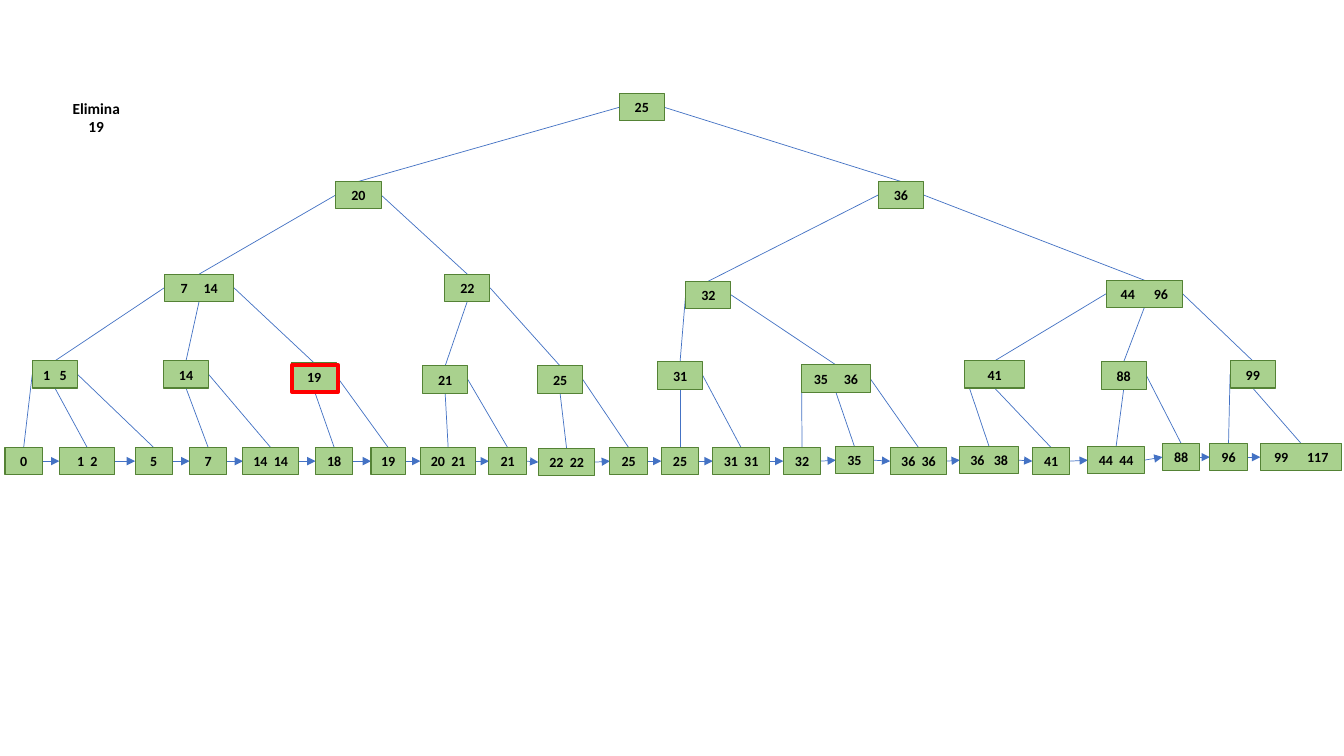
"""Build a slide with a B+ tree from which the key 19 is deleted."""
import pptx
import pptx.dml.color
import pptx.enum.shapes
import pptx.enum.text
import pptx.oxml
import pptx.oxml.ns
import pptx.util
from pptx.util import Inches

LABEL = "Elimina 19"
FONT = "Calibri"
GREEN, DARK_GREEN, BLUE, RED, BLACK = "A9D18E", "548235", "4472C4", "FF0000", "000000"
NODE_HEIGHT = 0.27
KEY_SIZE = 10
SPACE_WIDTH = 2.26
TOP, LEFT, BOTTOM, RIGHT = range(4)

# name: (keys, spaces between keys, left, top, width)
INNER_NODES = {
    "root": ("25", 1, 6.14, 0.93, 0.45),
    "A": ("20", 1, 3.33, 1.8, 0.45),
    "B": ("36", 1, 8.71, 1.8, 0.45),
    "A1": ("7 14", 5, 1.63, 2.72, 0.69),
    "A2": ("22", 1, 4.41, 2.72, 0.45),
    "B1": ("32", 1, 6.8, 2.79, 0.45),
    "B2": ("44 96", 6, 10.97, 2.78, 0.76),
    "A1a": ("1 5", 3, 0.32, 3.58, 0.45),
    "A1b": ("14", 1, 1.62, 3.58, 0.45),
    "A1c": ("19", 1, 2.89, 3.6, 0.45),
    "A2a": ("21", 1, 4.19, 3.63, 0.45),
    "A2b": ("25", 1, 5.33, 3.63, 0.45),
    "B1a": ("31", 1, 6.52, 3.59, 0.45),
    "B1b": ("35 36", 5, 7.95, 3.62, 0.68),
    "B2a": ("41", 1, 9.57, 3.58, 0.59),
    "B2b": ("88", 1, 10.92, 3.59, 0.45),
    "B2c": ("99", 1, 12.2, 3.58, 0.45),
}
LEAVES = [
    ("0", 1, 0.05, 4.44, 0.37), ("1 2", 2, 0.59, 4.44, 0.55),
    ("5", 1, 1.34, 4.44, 0.37), ("7", 1, 1.88, 4.44, 0.37),
    ("14 14", 2, 2.41, 4.44, 0.55), ("18", 1, 3.13, 4.44, 0.37),
    ("19", 1, 3.68, 4.44, 0.34), ("20 21", 2, 4.17, 4.44, 0.55),
    ("21", 1, 4.85, 4.44, 0.37), ("22 22", 2, 5.34, 4.45, 0.56),
    ("25", 1, 6.05, 4.44, 0.37), ("25", 1, 6.56, 4.44, 0.37),
    ("31 31", 2, 7.07, 4.44, 0.56), ("32", 1, 7.77, 4.44, 0.37),
    ("35", 1, 8.29, 4.43, 0.37), ("36 36", 2, 8.83, 4.44, 0.56),
    ("36 38", 3, 9.52, 4.43, 0.58), ("41", 1, 10.24, 4.44, 0.37),
    ("44 44", 2, 10.79, 4.43, 0.56), ("88", 1, 11.53, 4.4, 0.37),
    ("96", 1, 12.0, 4.4, 0.37), ("99 117", 6, 12.5, 4.4, 0.81),
]
# parent: (children, side of the parent each branch leaves from)
BRANCHES = {
    "root": (("A", "B"), (LEFT, RIGHT)),
    "A": (("A1", "A2"), (LEFT, RIGHT)),
    "B": (("B1", "B2"), (LEFT, RIGHT)),
    "A1": (("A1a", "A1b", "A1c"), (LEFT, BOTTOM, RIGHT)),
    "A2": (("A2a", "A2b"), (BOTTOM, RIGHT)),
    "B1": (("B1a", "B1b"), (LEFT, RIGHT)),
    "B2": (("B2a", "B2b", "B2c"), (LEFT, BOTTOM, RIGHT)),
    "A1a": ((0, 1, 2), (LEFT, BOTTOM, RIGHT)),
    "A1b": ((3, 4), (BOTTOM, RIGHT)),
    "A1c": ((5, 6), (BOTTOM, RIGHT)),
    "A2a": ((7, 8), (BOTTOM, RIGHT)),
    "A2b": ((9, 10), (BOTTOM, RIGHT)),
    "B1a": ((11, 12), (BOTTOM, RIGHT)),
    "B1b": ((13, 14, 15), (LEFT, BOTTOM, RIGHT)),
    "B2a": ((16, 17), (LEFT, BOTTOM)),
    "B2b": ((18, 19), (BOTTOM, RIGHT)),
    "B2c": ((20, 21), (LEFT, BOTTOM)),
}
DELETED_FRAME = (2.9, 3.62, 0.45)


def color(value):
    return pptx.dml.color.RGBColor.from_string(value)


def format_run(run, size):
    run.font.name = FONT
    run.font.size = pptx.util.Pt(size)
    run.font.bold = True
    run.font.color.rgb = color(BLACK)


def add_box(slide, left, top, width, line_color, line_width):
    shape = slide.shapes.add_shape(
        pptx.enum.shapes.MSO_SHAPE.RECTANGLE,
        Inches(left), Inches(top), Inches(width), Inches(NODE_HEIGHT))
    shape.shadow.inherit = False
    shape.line.color.rgb = color(line_color)
    shape.line.width = pptx.util.Pt(line_width)
    return shape


def add_node(slide, keys, spaces, left, top, width):
    shape = add_box(slide, left, top, width, DARK_GREEN, 0.75)
    shape.fill.solid()
    shape.fill.fore_color.rgb = color(GREEN)
    shape.text_frame.word_wrap = False
    shape.text_frame.vertical_anchor = pptx.enum.text.MSO_ANCHOR.MIDDLE
    paragraph = shape.text_frame.paragraphs[0]
    paragraph.alignment = pptx.enum.text.PP_ALIGN.CENTER
    for part in keys.replace(" ", "| |").split("|"):
        run = paragraph.add_run()
        run.text = part
        format_run(run, KEY_SIZE)
        if part == " ":
            spacing = round((spaces - 1) * SPACE_WIDTH * 100)
            run.font._element.set("spc", str(spacing))
    return shape


def add_link(slide, arrow):
    connector = slide.shapes.add_connector(
        pptx.enum.shapes.MSO_CONNECTOR.STRAIGHT, 0, 0, 0, 0)
    connector.line.color.rgb = color(BLUE)
    connector.line.width = pptx.util.Pt(0.5)
    if arrow:
        line = connector.line._get_or_add_ln()
        pptx.oxml.ns.qn("a:tailEnd")
        line.append(pptx.oxml.parse_xml(
            f'<a:tailEnd {pptx.oxml.ns.nsdecls("a")} type="triangle"/>'))
    connector._element.spPr.append(pptx.oxml.parse_xml(
        f'<a:effectLst {pptx.oxml.ns.nsdecls("a")}/>'))
    return connector


def add_tree(slide):
    links = [(parent, side, child, TOP)
             for parent, (children, sides) in BRANCHES.items()
             for child, side in zip(children, sides)]
    links += [(leaf, RIGHT, leaf + 1, LEFT) for leaf in range(len(LEAVES) - 1)]
    connectors = [add_link(slide, end_side == LEFT) for *_, end_side in links]
    nodes = {name: add_node(slide, *node)
             for name, node in (INNER_NODES | dict(enumerate(LEAVES))).items()}
    for connector, (start, start_side, end, end_side) in zip(connectors, links):
        connector.begin_connect(nodes[start], start_side)
        connector.end_connect(nodes[end], end_side)


def add_label(slide):
    label = slide.shapes.add_textbox(
        Inches(0.54), Inches(0.93), Inches(0.83), Inches(0.47))
    label.text_frame.word_wrap = True
    label.text_frame.text = LABEL
    paragraph = label.text_frame.paragraphs[0]
    paragraph.alignment = pptx.enum.text.PP_ALIGN.CENTER
    format_run(paragraph.runs[0], 11)


def main():
    presentation = pptx.Presentation()
    presentation.slide_width = Inches(13.33)
    presentation.slide_height = Inches(7.5)
    slide = presentation.slides.add_slide(presentation.slide_layouts[6])
    add_tree(slide)
    add_label(slide)
    add_box(slide, *DELETED_FRAME, RED, 3).fill.background()
    presentation.save("out.pptx")


if __name__ == "__main__":
    main()
